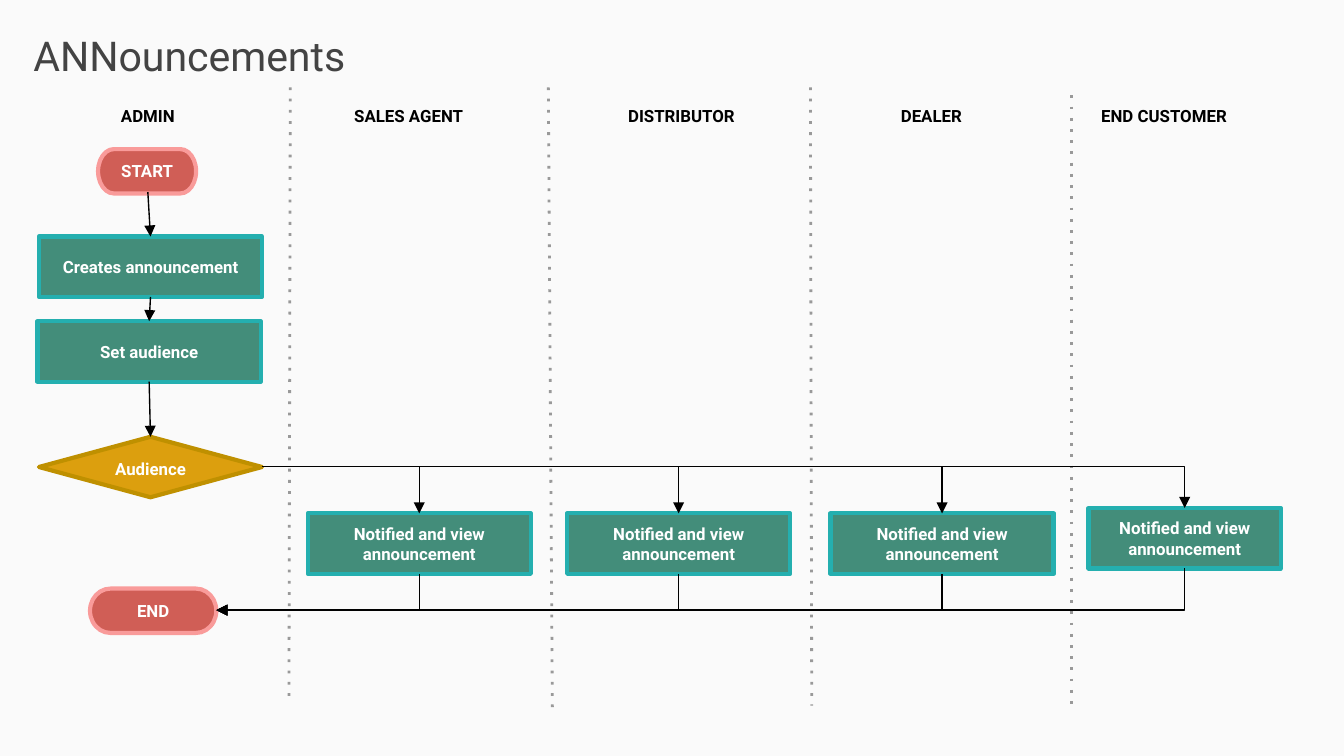
"""Build the announcements swimlane flowchart slide."""
from dataclasses import dataclass

from lxml import etree
from pptx import Presentation
from pptx.dml.color import RGBColor
from pptx.enum.shapes import MSO_CONNECTOR, MSO_SHAPE
from pptx.enum.text import MSO_ANCHOR, MSO_AUTO_SIZE, PP_ALIGN
from pptx.oxml.ns import qn
from pptx.util import Inches, Pt

STRAIGHT, ELBOW = MSO_CONNECTOR.STRAIGHT, MSO_CONNECTOR.ELBOW
RECTANGLE, DIAMOND = MSO_SHAPE.RECTANGLE, MSO_SHAPE.DIAMOND
TERMINATOR = MSO_SHAPE.FLOWCHART_TERMINATOR
CENTER, LEFT, MIDDLE, TOP = PP_ALIGN.CENTER, PP_ALIGN.LEFT, MSO_ANCHOR.MIDDLE, MSO_ANCHOR.TOP
FIT_SHAPE = MSO_AUTO_SIZE.SHAPE_TO_FIT_TEXT


@dataclass(frozen=True)
class Theme:
    font: str = "Roboto"
    background: str = "FAFAFA"
    title: str = "434343"
    heading: str = "000000"
    node_text: str = "FFFFFF"
    flow: str = "000000"
    divider: str = "999999"
    terminal: tuple = ("D05E56", "F99B9A")
    step: tuple = ("438D7A", "24AFAF")
    decision: tuple = ("DC9F0E", "BF9000")
    title_size: float = 22
    label_size: float = 9
    border: float = 2.25
    divider_width: float = 1.5
    flow_width: float = 0.75


def write_text(shape, text, color, size=Theme.label_size, bold=True, align=CENTER, anchor=MIDDLE):
    frame = shape.text_frame
    frame.word_wrap = True
    frame.vertical_anchor = anchor
    frame.margin_left = frame.margin_right = Inches(0.1)
    frame.margin_top = frame.margin_bottom = Inches(0.1)
    frame.text = text
    paragraph = frame.paragraphs[0]
    paragraph.alignment = align
    paragraph.font.name = Theme.font
    paragraph.font.size = Pt(size)
    paragraph.font.bold = bold
    paragraph.font.color.rgb = RGBColor.from_string(color)
    return frame


def draw_line(kind, start, end, color, width, ending=("tailEnd", {"type": "triangle"})):
    line = slide.shapes.add_connector(kind, *(Inches(value) for value in start + end))
    line.line.color.rgb = RGBColor.from_string(color)
    line.line.width = Pt(width)
    properties = line._element.spPr
    etree.SubElement(properties, qn("a:effectLst"))
    tag, attributes = ending
    etree.SubElement(properties.find(qn("a:ln")), qn(f"a:{tag}"), attributes)
    if kind == ELBOW:
        properties.find(qn("a:prstGeom")).set("prst", "bentConnector2")
    return line


presentation = Presentation()
presentation.slide_width = Inches(10)
presentation.slide_height = Inches(10) * 9 // 16
slide = presentation.slides.add_slide(presentation.slide_layouts[6])
slide.background.fill.solid()
slide.background.fill.fore_color.rgb = RGBColor.from_string(Theme.background)

title = slide.shapes.add_textbox(Inches(0.15), Inches(0.13), Inches(4.26), Inches(0.57))
write_text(title, "ANNouncements", Theme.title, Theme.title_size, False, LEFT, TOP).auto_size = FIT_SHAPE

lanes = [("ADMIN", -0.12), ("SALES AGENT", 1.82), ("DISTRIBUTOR", 3.85), ("DEALER", 5.71), ("END CUSTOMER", 7.44)]
for role, left in lanes:
    heading = slide.shapes.add_textbox(Inches(left), Inches(0.71), Inches(2.44), Inches(0.35))
    write_text(heading, role, Theme.heading, anchor=TOP).auto_size = FIT_SHAPE

dividers = [
    ((2.16, 0.65), (2.15, 5.22)),
    ((4.08, 0.65), (4.11, 5.27)),
    ((6.03, 0.65), (6.04, 5.25)),
    ((7.97, 0.71), (7.97, 5.28)),
]
for top_end, bottom_end in dividers:
    draw_line(STRAIGHT, top_end, bottom_end, Theme.divider, Theme.divider_width, ("prstDash", {"val": "dot"}))

notice = "Notified and view announcement"
step_width, step_height = 1.66, 0.45
notices = [(2.29, 3.82, step_width), (4.22, 3.82, step_width), (6.18, 3.82, step_width), (8.1, 3.78, 1.43)]
nodes = [
    (TERMINATOR, "START", 0.73, 1.11, 0.73, 0.33, Theme.terminal),
    (RECTANGLE, "Creates announcement", 0.29, 1.76, step_width, step_height, Theme.step),
    (RECTANGLE, "Set audience", 0.28, 2.39, step_width, step_height, Theme.step),
    (DIAMOND, "Audience", 0.29, 3.25, step_width, step_height, Theme.decision),
    (TERMINATOR, "END", 0.67, 4.38, 0.94, 0.33, Theme.terminal),
]
nodes += [(RECTANGLE, notice, left, top, width, step_height, Theme.step) for left, top, width in notices]
for outline, label, left, top, width, height, (fill, border) in nodes:
    node = slide.shapes.add_shape(outline, Inches(left), Inches(top), Inches(width), Inches(height))
    node.shadow.inherit = False
    node.fill.solid()
    node.fill.fore_color.rgb = RGBColor.from_string(fill)
    node.line.color.rgb = RGBColor.from_string(border)
    node.line.width = Pt(Theme.border)
    text = write_text(node, label, Theme.node_text)
    if outline == DIAMOND:
        text.paragraphs[0].line_spacing = 1.15

for start, end in [((1.1, 1.43), (1.12, 1.76)), ((1.12, 2.21), (1.11, 2.39)), ((1.11, 2.84), (1.12, 3.25))]:
    draw_line(STRAIGHT, start, end, Theme.flow, Theme.flow_width)

audience_exit = (1.95, 3.47)
end_x, end_y = 1.61, 4.54
for left, top, width in notices:
    center = left + width / 2
    draw_line(ELBOW, audience_exit, (center, top), Theme.flow, Theme.flow_width)

    bottom = top + step_height
    run, drop = center - end_x, end_y - bottom
    middle_x, middle_y = (center + end_x) / 2, (bottom + end_y) / 2
    unturned_start = (middle_x - drop / 2, middle_y - run / 2)
    unturned_end = (middle_x + drop / 2, middle_y + run / 2)
    merge = draw_line(ELBOW, unturned_start, unturned_end, Theme.flow, Theme.flow_width)
    merge._element.spPr.find(qn("a:xfrm")).set("rot", "5400000")

presentation.save("out.pptx")
